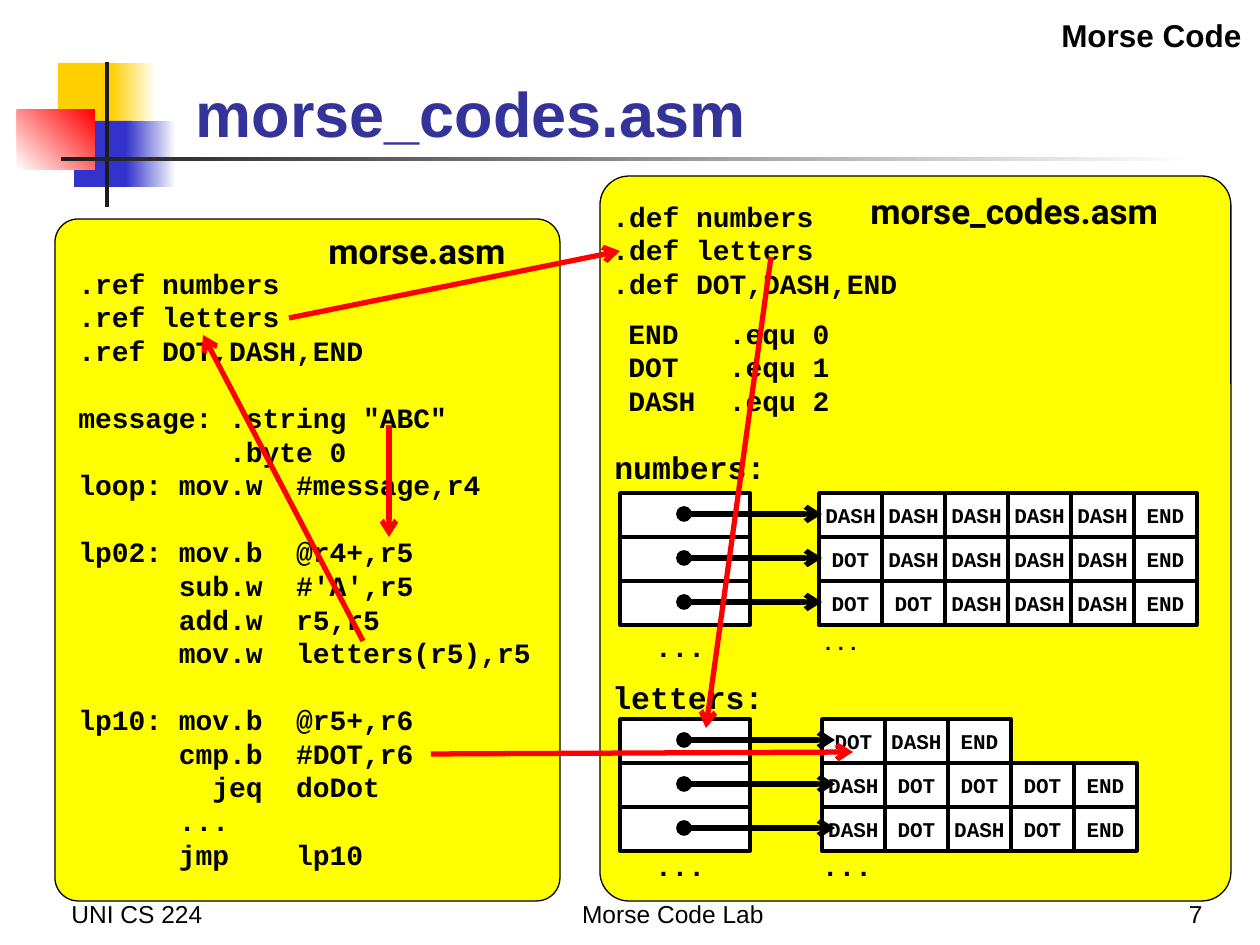
from lxml import etree
from pptx import Presentation
from pptx import util as u
from pptx.dml.color import RGBColor
from pptx.enum import shapes, text
from pptx.oxml import ns

SCALE = 914400 // 126
BLACK = RGBColor(0, 0, 0)
WHITE = RGBColor(255, 255, 255)
YELLOW = RGBColor(255, 255, 0)
RED = RGBColor(255, 0, 0)
GOLD = RGBColor(0xFF, 0xCF, 0x01)
BLUE = RGBColor(0x33, 0x33, 0xCC)
TITLE_BLUE = RGBColor(0x33, 0x33, 0x99)
CHARCOAL = RGBColor(0x1C, 0x1C, 0x1C)
CODE = "Courier New"
SANS = "Arial"
LABEL = "Roboto"
LEFT, CENTER, RIGHT = text.PP_ALIGN.LEFT, text.PP_ALIGN.CENTER, text.PP_ALIGN.RIGHT
TOP, MIDDLE, BOTTOM = text.MSO_ANCHOR.TOP, text.MSO_ANCHOR.MIDDLE, text.MSO_ANCHOR.BOTTOM
RECTANGLE = shapes.MSO_SHAPE.RECTANGLE


def px(*lengths):
    return [u.Emu(length * SCALE) for length in lengths]


class Canvas:
    line_ratio = 1.2

    def __init__(self, slide):
        self.slide = slide

    def fill_text(self, frame, lines, size, font=CODE, bold=True, color=BLACK,
                  align=LEFT, anchor=TOP, wrap=True, inset=True):
        frame.word_wrap = wrap
        frame.vertical_anchor = anchor
        if not inset:
            frame.margin_left = frame.margin_right = 0
            frame.margin_top = frame.margin_bottom = 0
        paragraph, gap = None, 0
        for line in lines:
            if not line:
                gap += size * self.line_ratio
                continue
            paragraph = frame.add_paragraph() if paragraph else frame.paragraphs[0]
            paragraph.text = line
            paragraph.alignment = align
            if gap:
                paragraph.space_before = u.Pt(gap)
                gap = 0
            style = paragraph.runs[0].font
            style.name, style.size, style.bold = font, u.Pt(size), bold
            style.color.rgb = color

    def title(self, box, line, **style):
        shape = self.slide.shapes.title
        shape.left, shape.top, shape.width, shape.height = px(*box)
        self.fill_text(shape.text_frame, [line], **style)

    def text(self, box, lines, size, **style):
        shape = self.slide.shapes.add_textbox(*px(*box))
        self.fill_text(shape.text_frame, lines, size, **style)

    def shape(self, box, fill, end=None, angle=0, line=None, kind=RECTANGLE):
        shape = self.slide.shapes.add_shape(kind, *px(*box))
        shape.shadow.inherit = False
        if end is None:
            shape.fill.solid()
            shape.fill.fore_color.rgb = fill
        else:
            shape.fill.gradient()
            shape.fill.gradient_angle = angle
            for stop, color in zip(shape.fill.gradient_stops, (fill, end)):
                stop.color.rgb = color
        if line:
            shape.line.color.rgb = BLACK
            shape.line.width = u.Pt(line)
        else:
            shape.line.fill.background()
        return shape

    def panel(self, box):
        shape = self.shape(box, YELLOW, line=0.75, kind=shapes.MSO_SHAPE.ROUNDED_RECTANGLE)
        shape.adjustments[0] = 0.046

    def cell(self, box, word=""):
        shape = self.shape(box, WHITE, line=2)
        if word:
            self.fill_text(shape.text_frame, [word], 12, align=CENTER, anchor=MIDDLE,
                           wrap=False, inset=False)

    def arrow(self, start, end, color, head=None):
        connector = self.slide.shapes.add_connector(
            shapes.MSO_CONNECTOR.STRAIGHT, *px(*start, *end))
        connector.line.color.rgb = color
        connector.line.width = u.Pt(3)
        properties = connector.element.spPr
        line = properties.find(ns.qn("a:ln"))
        if head:
            etree.SubElement(line, ns.qn("a:headEnd"), type=head)
        etree.SubElement(line, ns.qn("a:tailEnd"), type="arrow")
        etree.SubElement(properties, ns.qn("a:effectLst"))

    def lookup(self, top, left, arrow_end, rows):
        width, height = 63, 44
        for row, words in enumerate(rows):
            y = top + row * height
            self.cell((620, y, 130, height))
            for column, word in enumerate(words.split()):
                self.cell((left + column * width, y, width, height), word)
        for row in range(len(rows)):
            y = top + row * height + 21
            self.arrow((684, y), (arrow_end, y), BLACK, head="oval")


presentation = Presentation()
presentation.slide_width, presentation.slide_height = px(1260, 945)
canvas = Canvas(presentation.slides.add_slide(presentation.slide_layouts[5]))

for box, fill, end, angle in (
    ((58, 63, 60, 66), GOLD, None, 0),
    ((111, 63, 45, 66), GOLD, WHITE, 0),
    ((74, 121, 58, 66), BLUE, None, 0),
    ((126, 121, 50, 66), BLUE, WHITE, 0),
    ((17, 110, 78, 60), WHITE, RED, 45),
    ((105, 62, 4, 145), CHARCOAL, None, 0),
    ((61, 157, 1134, 4), CHARCOAL, WHITE, 0),
):
    canvas.shape(box, fill, end, angle)

canvas.title((183, 37, 1074, 119), "morse_codes.asm", size=36, font=SANS,
             color=TITLE_BLUE, anchor=BOTTOM)
canvas.text((747, 10, 507, 50), ["Morse Code"], 18, font=SANS, align=RIGHT)

canvas.panel((55, 219, 505, 682))
canvas.panel((600, 176, 631, 725))

for box, line, align in (
    ((59, 872, 262, 63), "UNI CS 224", LEFT),
    ((350, 872, 646, 63), "Morse Code Lab", CENTER),
    ((953, 872, 262, 63), "7", RIGHT),
):
    canvas.text(box, [line], 14, font=SANS, bold=False, align=align, anchor=BOTTOM)

canvas.lookup(493, 819, 822, (
    "DASH DASH DASH DASH DASH END",
    "DOT DASH DASH DASH DASH END",
    "DOT DOT DASH DASH DASH END",
))
canvas.lookup(719, 822, 835, (
    "DOT DASH END",
    "DASH DOT DOT DOT END",
    "DASH DOT DASH DOT END",
))

for left, top, size in ((655, 630, 16), (822, 630, 12), (655, 849, 16), (822, 849, 16)):
    canvas.text((left, top, 59, 34), ["..."], size, inset=False)

canvas.text((600, 193, 345, 115), [".def numbers", ".def letters", ".def DOT,DASH,END"], 16)
canvas.text((616, 310, 297, 115), ["END   .equ 0", "DOT   .equ 1", "DASH  .equ 2"], 16)
canvas.text((66, 260, 481, 624), [
    ".ref numbers",
    ".ref letters",
    ".ref DOT,DASH,END",
    "",
    'message: .string "ABC"',
    "         .byte 0",
    "loop: mov.w  #message,r4",
    "",
    "lp02: mov.b  @r4+,r5",
    "      sub.w  #'A',r5",
    "      add.w  r5,r5",
    "      mov.w  letters(r5),r5",
    "",
    "lp10: mov.b  @r5+,r6",
    "      cmp.b  #DOT,r6",
    "        jeq  doDot",
    "      ...",
    "      jmp    lp10",
], 16)

for box, line, size, font in (
    ((858, 183, 344, 55), "morse_codes.asm", 20, LABEL),
    ((316, 223, 219, 55), "morse.asm", 20, LABEL),
    ((600, 672, 178, 50), "letters:", 18, CODE),
    ((602, 442, 178, 50), "numbers:", 18, CODE),
):
    canvas.text(box, [line], size, font=font, wrap=False)

for start, end in (
    ((389, 425), (389, 537)),
    ((363, 641), (203, 335)),
    ((289, 318), (620, 251)),
    ((771, 257), (706, 728)),
    ((431, 754), (853, 752)),
):
    canvas.arrow(start, end, RED)

presentation.save("out.pptx")
